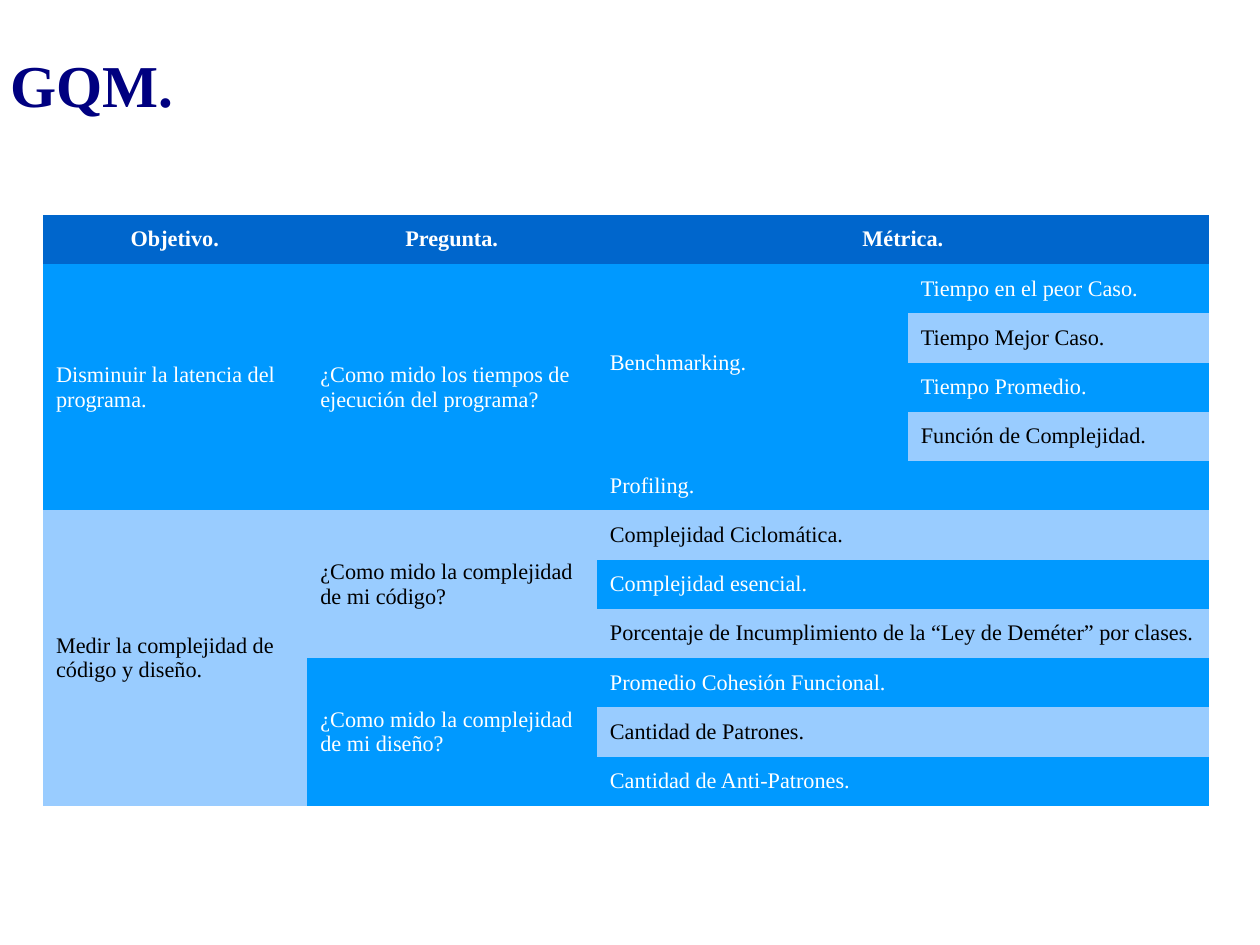
from pptx import Presentation
from pptx.dml.color import RGBColor
from pptx.enum.text import MSO_ANCHOR, PP_ALIGN
from pptx.util import Inches, Pt

NAVY = RGBColor(0x00, 0x00, 0x80)
HEADER_BLUE = RGBColor(0x00, 0x66, 0xCC)
BLUE = RGBColor(0x00, 0x99, 0xFF)
PALE_BLUE = RGBColor(0x99, 0xCC, 0xFF)
WHITE = RGBColor(0xFF, 0xFF, 0xFF)
BLACK = RGBColor(0x00, 0x00, 0x00)

NO_STYLE = "{2D5ABB26-0587-4C30-8999-92F81FD0307C}"
COLUMN_WIDTHS = [1.98, 2.17, 2.33, 2.26]
ROW_COUNT, TABLE_HEIGHT = 12, 4.43

# Row, column, rows spanned, columns spanned, text
GQM_CELLS = [
    (0, 0, 1, 1, "Objetivo."),
    (0, 1, 1, 1, "Pregunta."),
    (0, 2, 1, 2, "Métrica."),
    (1, 0, 5, 1, "Disminuir la latencia del programa."),
    (1, 1, 5, 1, "¿Como mido los tiempos de ejecución del programa?"),
    (1, 2, 4, 1, "Benchmarking."),
    (1, 3, 1, 1, "Tiempo en el peor Caso."),
    (2, 3, 1, 1, "Tiempo Mejor Caso."),
    (3, 3, 1, 1, "Tiempo Promedio."),
    (4, 3, 1, 1, "Función de Complejidad."),
    (5, 2, 1, 2, "Profiling."),
    (6, 0, 6, 1, "Medir la complejidad de código y diseño."),
    (6, 1, 3, 1, "¿Como mido la complejidad de mi código?"),
    (6, 2, 1, 2, "Complejidad Ciclomática."),
    (7, 2, 1, 2, "Complejidad esencial."),
    (8, 2, 1, 2, "Porcentaje de Incumplimiento de la “Ley de Deméter” por clases."),
    (9, 1, 3, 1, "¿Como mido la complejidad de mi diseño?"),
    (9, 2, 1, 2, "Promedio Cohesión Funcional."),
    (10, 2, 1, 2, "Cantidad de Patrones."),
    (11, 2, 1, 2, "Cantidad de Anti-Patrones."),
]


class SlideBuilder:
    font = "Times New Roman"

    def __init__(self, s):
        self.s = s

    def set_text(self, tf, text, size, color, bold=False, align=PP_ALIGN.LEFT):
        tf.text = text
        p = tf.paragraphs[0]
        p.alignment = align
        font = p.runs[0].font
        font.name, font.size, font.bold = self.font, Pt(size), bold
        font.color.rgb = color

    def title(self, text, left, top, width, height):
        box = self.s.shapes.add_textbox(
            Inches(left), Inches(top), Inches(width), Inches(height))
        tf = box.text_frame
        tf.word_wrap = True
        tf.vertical_anchor = MSO_ANCHOR.MIDDLE
        tf.margin_left = tf.margin_right = tf.margin_top = tf.margin_bottom = 0
        self.set_text(tf, text, 32, NAVY, bold=True)

    def table(self, cells, left, top):
        table = self.s.shapes.add_table(
            ROW_COUNT, len(COLUMN_WIDTHS), Inches(left), Inches(top),
            Inches(sum(COLUMN_WIDTHS)), Inches(TABLE_HEIGHT)).table
        table.first_row = table.horz_banding = False
        table._tbl.tblPr.find("{*}tableStyleId").text = NO_STYLE
        for column, width in zip(table.columns, COLUMN_WIDTHS):
            column.width = Inches(width)
        for row, col, rows, cols, text in cells:
            cell = table.cell(row, col)
            if rows * cols > 1:
                cell.merge(table.cell(row + rows - 1, col + cols - 1))
            self.cell(cell, row, text)

    def cell(self, cell, row, text):
        # Header first, then blue and pale bands by starting row
        header = row == 0
        pale = not header and row % 2 == 0
        cell.fill.solid()
        cell.fill.fore_color.rgb = (
            HEADER_BLUE if header else PALE_BLUE if pale else BLUE)
        cell.vertical_anchor = MSO_ANCHOR.MIDDLE
        self.set_text(cell.text_frame, text, 12, BLACK if pale else WHITE,
                      header, PP_ALIGN.CENTER if header else PP_ALIGN.LEFT)


def main():
    prs = Presentation()
    prs.slide_width, prs.slide_height = Inches(9.44), Inches(7.08)
    slide = SlideBuilder(prs.slides.add_slide(prs.slide_layouts[6]))

    # Title
    slide.title("GQM.", 0.08, 0.04, 5.63, 1.18)

    # Goals, questions and metrics
    slide.table(GQM_CELLS, 0.32, 1.61)

    prs.save("out.pptx")


if __name__ == "__main__":
    main()
